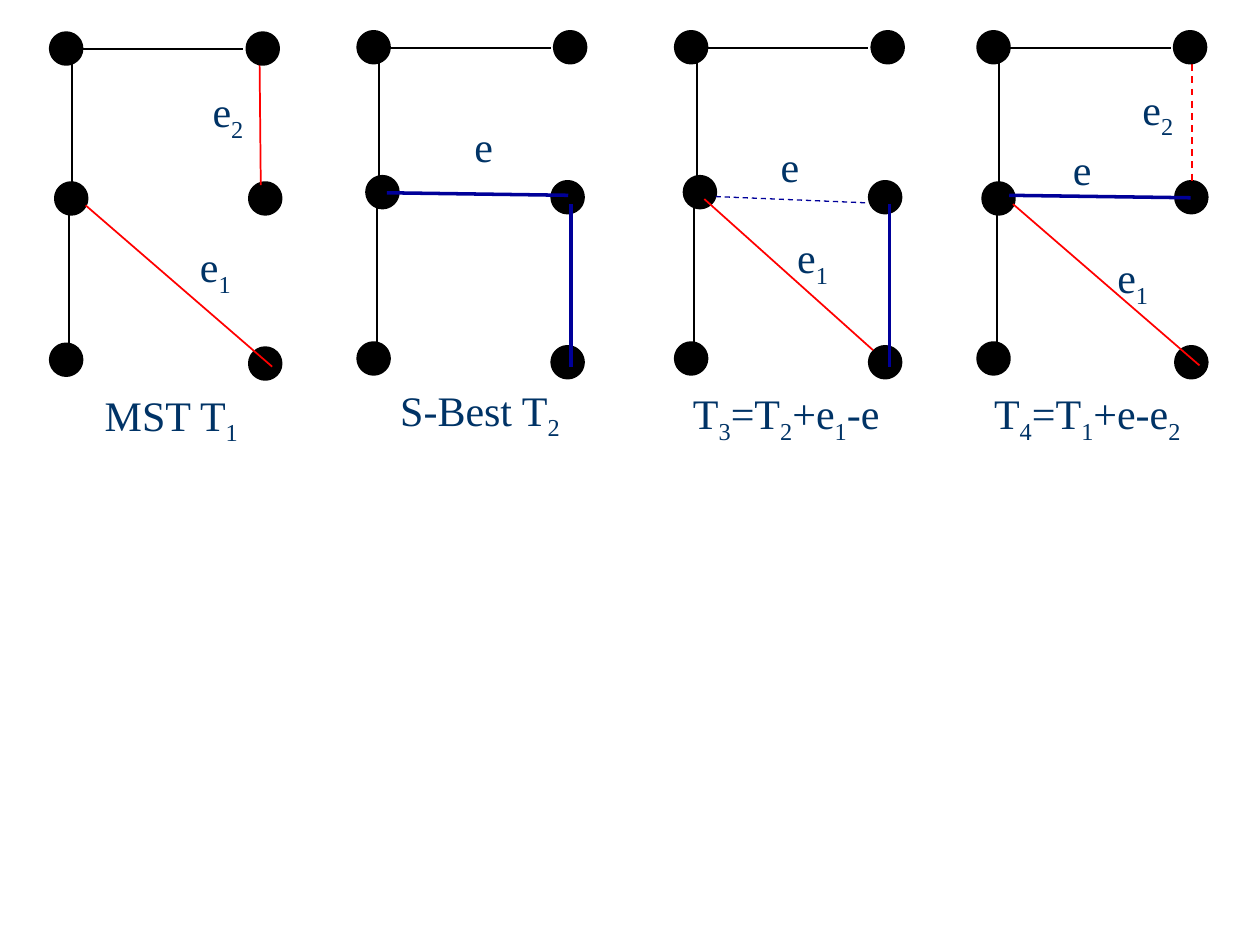
from dataclasses import dataclass

from pptx import Presentation
from pptx.dml.color import RGBColor
from pptx.enum.dml import MSO_LINE_DASH_STYLE as Dash
from pptx.enum.shapes import MSO_CONNECTOR as Connector, MSO_SHAPE as Shape
from pptx.enum.text import MSO_AUTO_SIZE as AutoSize, PP_ALIGN as Align
from pptx.oxml.ns import qn
from pptx.util import Inches, Pt


@dataclass(frozen=True)
class Theme:
    ink: RGBColor = RGBColor.from_string("000000")
    red: RGBColor = RGBColor.from_string("FF0000")
    blue: RGBColor = RGBColor.from_string("000099")
    text: RGBColor = RGBColor.from_string("003366")
    font: str = "Times New Roman"
    size: int = 24
    node_line: float = 6


THEME = Theme()

# Grid of 1000 x 750 cells; everything in a panel counts from its corner
COLUMNS, ROWS = 1000, 750
NODE = 19
LABEL_WIDTH = 130
PLAIN_HEIGHT, SUBSCRIPT_HEIGHT = 50, 56

# Edge styles: colour, width in points, dashed
BLACK = (THEME.ink, 1, False)
RED = (THEME.red, 1, False)
RED_DASH = (THEME.red, 1, True)
BLUE = (THEME.blue, 2, False)
BLUE_DASH = (THEME.blue, 0.75, True)

# Parts that every tree shares
TOP_NODES = [(0, 0), (156, 0)]
TREE_EDGES = [
    (12, 128, 12, 251, BLACK),
    (14, 10, 14, 133, BLACK),
    (20, 10, 150, 10, BLACK),
]
DIAGONAL = (25, 134, 173, 262, RED)
MIDDLE_TREE_NODES = [(7, 115), (0, 247), (154, 250), (154, 119)]

# An underscore lowers the digit after it; captions give text, x, y, width
PANELS = [
    dict(corner=(43, 29),
         nodes=[(4, 119), (0, 247), (158, 250), (158, 119)],
         edges=[DIAGONAL, (163, 17, 164, 118, RED)],
         labels=[("e_2", 73, 34), ("e_1", 63, 157)],
         caption=("MST T_1", 28, 275, 130)),
    dict(corner=(287, 28),
         nodes=MIDDLE_TREE_NODES,
         edges=[(166, 134, 166, 263, BLUE), (20, 125, 164, 127, BLUE)],
         labels=[("e", 32, 63)],
         caption=("S-Best T_2", 7, 272, 174)),
    dict(corner=(539, 28),
         nodes=MIDDLE_TREE_NODES,
         edges=[(167, 134, 167, 263, BLUE), (20, 130, 154, 250, RED),
                (29, 128, 149, 133, BLUE_DASH)],
         labels=[("e_1", 41, 151), ("e", 23, 79)],
         caption=("T_3=T_2+e_1-e", -15, 275, 200)),
    dict(corner=(779, 28),
         nodes=[(4, 120), (0, 247), (157, 250), (157, 119)],
         edges=[DIAGONAL, (22, 127, 166, 129, BLUE),
                (167, 23, 167, 118, RED_DASH)],
         labels=[("e", 15, 81), ("e_1", 55, 167), ("e_2", 75, 33)],
         caption=("T_4=T_1+e-e_2", -8, 275, 184)),
]

deck = Presentation()
deck.slide_width, deck.slide_height = Inches(10), Inches(7.5)
page = deck.slides.add_slide(deck.slide_layouts[6])
CELL_WIDTH = deck.slide_width // COLUMNS
CELL_HEIGHT = deck.slide_height // ROWS


def place(corner, x, y):
    return (corner[0] + x) * CELL_WIDTH, (corner[1] + y) * CELL_HEIGHT


def add_node(corner, x, y):
    node = page.shapes.add_shape(Shape.OVAL, *place(corner, x, y),
                                 NODE * CELL_WIDTH, NODE * CELL_HEIGHT)
    node.shadow.inherit = False
    node.fill.solid()
    node.fill.fore_color.rgb = THEME.ink
    node.line.color.rgb = THEME.ink
    node.line.width = Pt(THEME.node_line)


def add_edge(corner, x1, y1, x2, y2, style):
    color, width, dashed = style
    edge = page.shapes.add_connector(Connector.STRAIGHT, *place(corner, x1, y1),
                                     *place(corner, x2, y2))
    edge.line.color.rgb = color
    edge.line.width = Pt(width)
    if dashed:
        edge.line.dash_style = Dash.DASH
    properties = edge._element.spPr
    properties.append(properties.makeelement(qn("a:effectLst"), {}))


def add_text(corner, text, x, y, width=LABEL_WIDTH):
    height = SUBSCRIPT_HEIGHT if "_" in text else PLAIN_HEIGHT
    box = page.shapes.add_textbox(*place(corner, x, y),
                                  width * CELL_WIDTH, height * CELL_HEIGHT)
    frame = box.text_frame
    frame.word_wrap = True
    frame.auto_size = AutoSize.SHAPE_TO_FIT_TEXT
    para = frame.paragraphs[0]
    para.alignment = Align.CENTER
    para.font.name = THEME.font
    para.font.size = Pt(THEME.size)
    para.font.color.rgb = THEME.text
    first, *rest = text.split("_")
    para.add_run().text = first
    for part in rest:
        span = para.add_run()
        span.text = part[0]
        span._r.get_or_add_rPr().set("baseline", "-25000")
        if part[1:]:
            para.add_run().text = part[1:]


# Each panel: lower nodes, edges, top nodes over the edges, then text
for panel in PANELS:
    corner = panel["corner"]
    for node in panel["nodes"]:
        add_node(corner, *node)
    for edge in TREE_EDGES + panel["edges"]:
        add_edge(corner, *edge)
    for node in TOP_NODES:
        add_node(corner, *node)
    for label in panel["labels"] + [panel["caption"]]:
        add_text(corner, *label)

deck.save("out.pptx")
